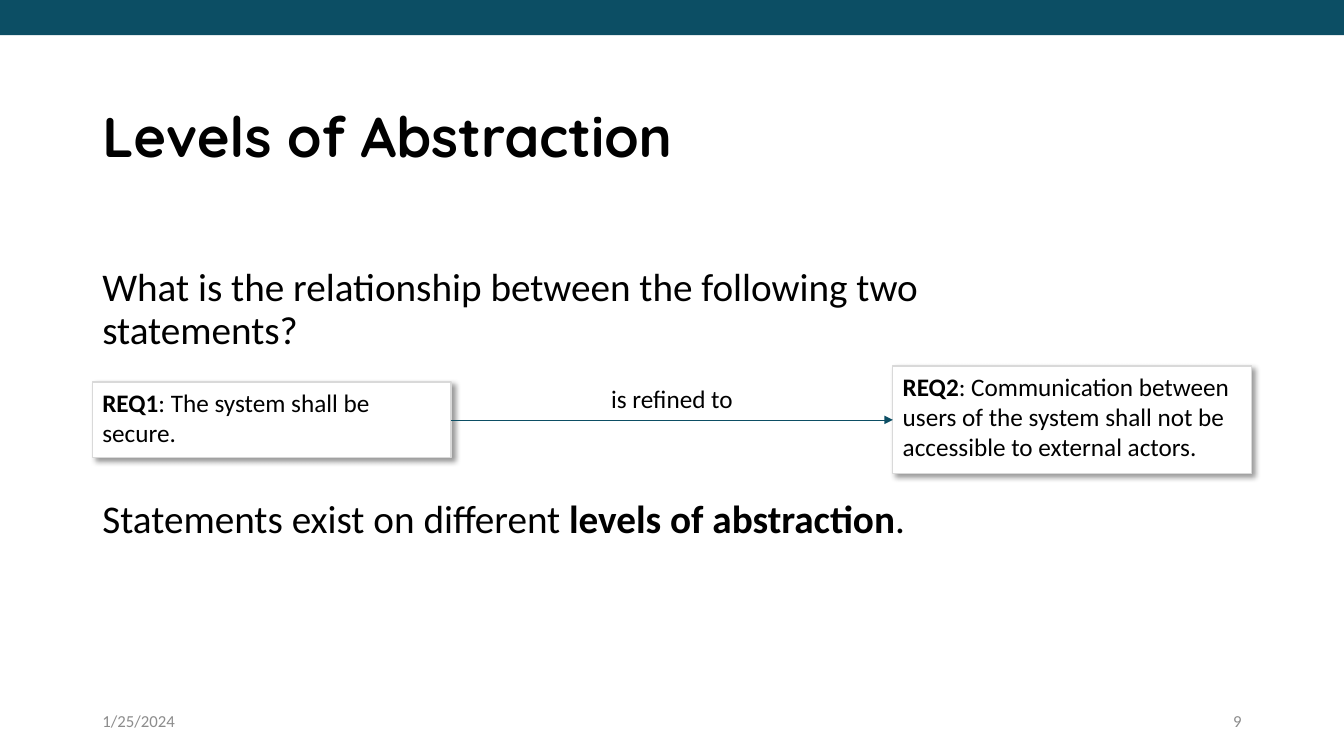
from dataclasses import dataclass

from pptx import Presentation
from pptx.dml.color import RGBColor
from pptx.enum.shapes import MSO_CONNECTOR, MSO_SHAPE
from pptx.enum.text import MSO_ANCHOR, PP_ALIGN
from pptx.oxml import parse_xml
from pptx.oxml.ns import nsdecls, qn
from pptx.oxml.xmlchemy import OxmlElement
from pptx.util import Cm, Pt

LEFT, CENTER, RIGHT = PP_ALIGN.LEFT, PP_ALIGN.CENTER, PP_ALIGN.RIGHT
TOP, MIDDLE = MSO_ANCHOR.TOP, MSO_ANCHOR.MIDDLE
RECTANGLE = MSO_SHAPE.RECTANGLE
STRAIGHT = MSO_CONNECTOR.STRAIGHT
LEFT_SIDE, RIGHT_SIDE = 1, 3

# Content: text is a list of (words, bold) runs
TITLE = [("Levels of Abstraction", True)]
QUESTION = [("What is the relationship between the following two statements?", False)]
REQUIREMENTS = [
    {"text": [("REQ1", True), (": The system shall be secure.", False)], "height": 1.91},
    {"text": [("REQ2", True),
              (": Communication between users of the system shall not be "
               "accessible to external actors.", False)], "height": 2.71},
]
RELATION = [("is refined to", False)]
CONCLUSION = [("Statements exist on different ", False),
              ("levels of abstraction", True), (".", False)]
DATE = [("1/25/2024", False)]
PAGE = [("9", False)]


@dataclass(frozen=True)
class Theme:
    accent: str = "0C4E64"
    text: str = "000000"
    muted: str = "8C8C8C"
    paper: str = "FFFFFF"
    border: str = "D9D9D9"
    heading_font: str = "Quicksand"
    body_font: str = "Calibri"
    title_size: int = 40
    body_size: int = 28
    label_size: int = 18
    footer_size: int = 12


THEME = Theme()

# Layout in centimetres
WIDTH, HEIGHT = 33.87, 19.05
MARGIN = 2.33
BAR_HEIGHT = 0.89
TEXT_WIDTH = 24.82
BODY_HEIGHT = 2.46
REQ_WIDTH = 9.04
REQ_MIDDLE = 10.58
RELATION_WIDTH = 6.32
FOOTER_TOP, FOOTER_WIDTH = 17.66, 7.62
LINE_HEIGHT = 1.02


def rgb(value):
    return RGBColor.from_string(value)


def write(shape, runs, size, color=THEME.text, font=THEME.body_font,
          align=LEFT, anchor=TOP, spacing=1.0):
    frame = shape.text_frame
    frame.word_wrap = True
    frame.vertical_anchor = anchor
    paragraph = frame.paragraphs[0]
    paragraph.alignment = align
    paragraph.line_spacing = spacing
    paragraph.font.name = font
    paragraph.font.size = Pt(size)
    paragraph.font.color.rgb = rgb(color)
    for words, bold in runs:
        run = paragraph.add_run()
        run.text = words
        run.font.bold = bold


def add_text(slide, box, runs, size, **style):
    write(slide.shapes.add_textbox(*map(Cm, box)), runs, size, **style)


def add_box(slide, box, fill):
    shape = slide.shapes.add_shape(RECTANGLE, *map(Cm, box))
    shape.shadow.inherit = False
    shape.fill.solid()
    shape.fill.fore_color.rgb = rgb(fill)
    shape.line.fill.background()
    return shape


def add_requirement(slide, left, requirement):
    height = requirement["height"]
    card = add_box(slide, (left, REQ_MIDDLE - height / 2, REQ_WIDTH, height), THEME.paper)
    card.line.color.rgb = rgb(THEME.border)
    card.line.width = Pt(1)
    effects = card._element.spPr.find(qn("a:effectLst"))
    effects.append(parse_xml(
        f'<a:outerShdw {nsdecls("a")} blurRad="{Pt(4)}" dist="{Pt(3)}" dir="2700000" '
        'algn="tl" rotWithShape="0"><a:srgbClr val="000000"><a:alpha val="40000"/>'
        '</a:srgbClr></a:outerShdw>'))
    write(card, requirement["text"], THEME.label_size)
    return card


def add_arrow(slide, source, target):
    arrow = slide.shapes.add_connector(STRAIGHT, 0, 0, 0, 0)
    arrow.begin_connect(source, RIGHT_SIDE)
    arrow.end_connect(target, LEFT_SIDE)
    arrow.line.color.rgb = rgb(THEME.accent)
    arrow.line.width = Pt(0.5)
    properties = arrow._element.spPr
    head = OxmlElement("a:tailEnd")
    head.set("type", "triangle")
    properties.find(qn("a:ln")).append(head)
    properties.append(OxmlElement("a:effectLst"))


def main():
    deck = Presentation()
    deck.slide_width, deck.slide_height = Cm(WIDTH), Cm(HEIGHT)
    slide = deck.slides.add_slide(deck.slide_layouts[6])

    # Top bar, title and body
    add_box(slide, (0, 0, WIDTH, BAR_HEIGHT), THEME.accent)
    add_text(slide, (MARGIN, 2.62, TEXT_WIDTH, 3.68), TITLE, THEME.title_size,
             font=THEME.heading_font, spacing=0.9)
    for top, runs in ((6.63, QUESTION), (12.47, CONCLUSION)):
        add_text(slide, (MARGIN, top, TEXT_WIDTH, BODY_HEIGHT), runs,
                 THEME.body_size, spacing=0.9)

    # Requirements and the relation between them
    lefts = (MARGIN, WIDTH - MARGIN - REQ_WIDTH)
    source, target = [add_requirement(slide, left, requirement)
                      for left, requirement in zip(lefts, REQUIREMENTS)]
    add_arrow(slide, source, target)
    add_text(slide, ((WIDTH - RELATION_WIDTH) / 2, 9.53, RELATION_WIDTH, LINE_HEIGHT),
             RELATION, THEME.label_size, align=CENTER)

    # Footer
    for left, runs, align in ((MARGIN, DATE, LEFT),
                              (WIDTH - MARGIN - FOOTER_WIDTH, PAGE, RIGHT)):
        add_text(slide, (left, FOOTER_TOP, FOOTER_WIDTH, LINE_HEIGHT), runs,
                 THEME.footer_size, color=THEME.muted, align=align, anchor=MIDDLE)

    deck.save("out.pptx")


if __name__ == "__main__":
    main()
